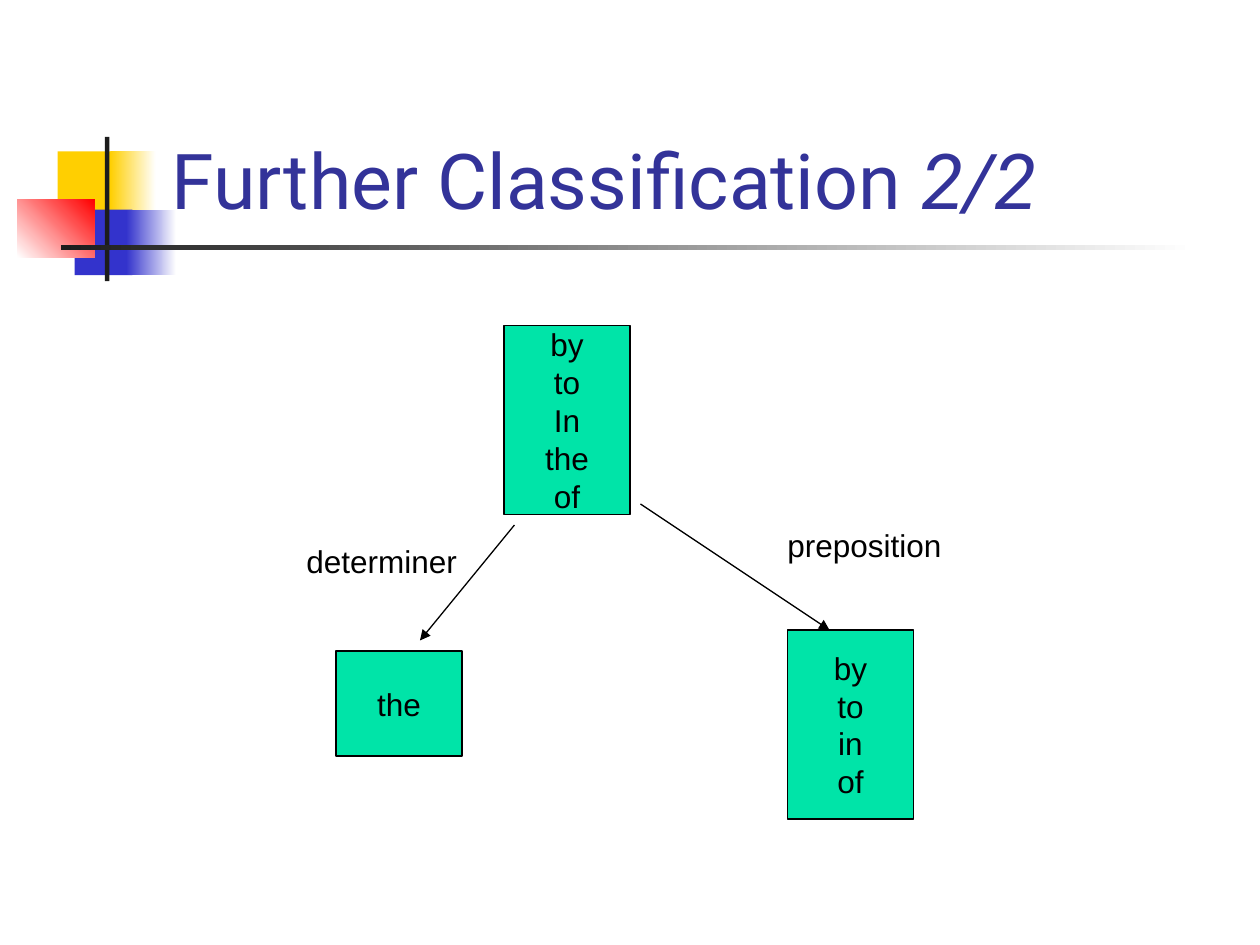
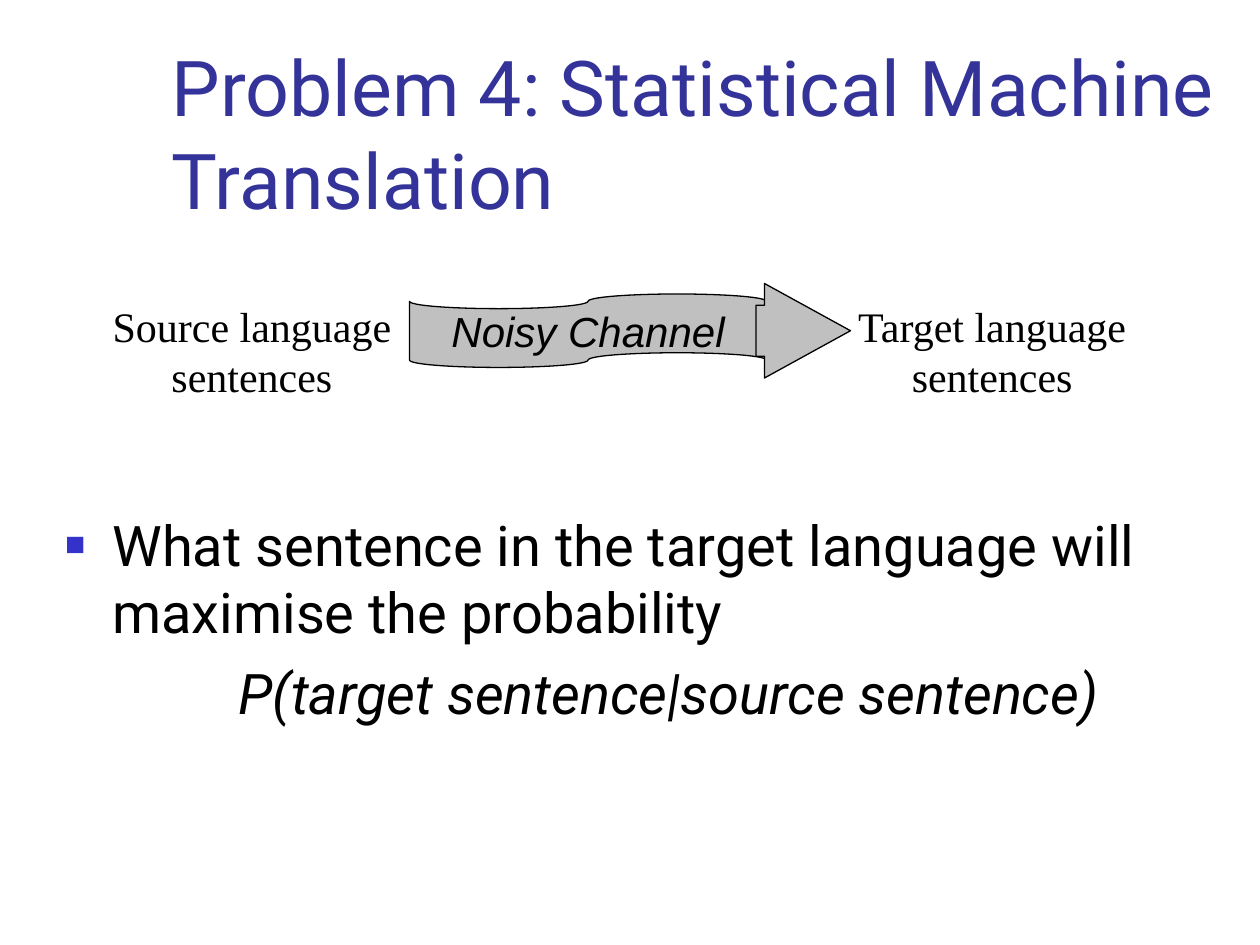
from lxml.etree import SubElement
from pptx import Presentation
from pptx.dml.color import RGBColor
from pptx.enum.shapes import MSO_CONNECTOR, MSO_SHAPE
from pptx.enum.text import MSO_ANCHOR, MSO_AUTO_SIZE, PP_ALIGN
from pptx.oxml.ns import qn
from pptx.util import Pt

YELLOW, BLUE, RED, DARK = "FFCF01", "3333CC", "FF0000", "1C1C1C"
WHITE, BLACK, GREEN, GREY, NAVY = "FFFFFF", "000000", "00E4A8", "C0C0C0", "333399"

TITLE_BOX = (91, 16.5, 613.5, 115.5)
TITLE_FONT = {"size": Pt(44), "name": "Roboto"}
BODY_FONT = {"size": Pt(32), "name": "Roboto"}
WORD_FONT = {"size": Pt(18), "name": "Arial"}
CHANNEL_FONT = {"size": Pt(24), "name": "Arial", "italic": True}
LANGUAGE_FONT = {"size": Pt(24), "name": "Times New Roman"}

# Boxes are left, top, width, height; two colours and an angle make a gradient.
ORNAMENT = [
    ((33, 86.5, 34.5, 37.5), [YELLOW]),
    ((63, 86.5, 26, 37.5), [YELLOW, WHITE, 0]),
    ((42.7, 119.8, 33, 37.4), [BLUE]),
    ((72.2, 119.8, 28.5, 37.4), [BLUE, WHITE, 0]),
    ((10, 113.8, 44, 33.4), [WHITE, RED, 45]),
    ((60, 78.2, 2.5, 82.5), [DARK]),
    ((34.8, 140.2, 648, 2.5), [DARK, WHITE, 0]),
]

CLASSIFICATION = {
    "title": [("Further Classification ", False), ("2/2", True)],
    "groups": [
        ((288, 186, 72, 108), ["by", "to", "In", "the", "of"]),
        ((192, 372, 72, 60), ["the"]),
        ((450, 360, 72, 108), ["by", "to", "in", "of"]),
    ],
    "branches": [((294, 300), (240, 366)), ((366, 288), (474, 360))],
    "labels": [
        ((168, 306, 104, 29), "determiner"),
        ((442.8, 297, 106, 29), "preposition"),
    ],
}

TRANSLATION = {
    "title": [("Problem 4: Statistical Machine Translation", False)],
    "body_box": (30, 288, 648, 230),
    "question": "What sentence in the target language will maximise the probability",
    "formula": "P(target sentence|source sentence)",
    "channel": ((234, 168, 204, 42), "Noisy Channel"),
    "arrow_box": (432, 162, 54, 54),
    "languages": [
        ((54, 168, 180, 65), "Source language sentences"),
        ((474, 168, 186, 65), "Target language sentences"),
    ],
}


def rgb(colour):
    return RGBColor.from_string(colour)


def points(values):
    return [Pt(value) for value in values]


def format_font(font, style, colour=BLACK):
    for attribute, value in style.items():
        setattr(font, attribute, value)
    font.color.rgb = rgb(colour)


def place(shape, box):
    shape.left, shape.top, shape.width, shape.height = points(box)


def paint(fill, colours):
    if len(colours) == 1:
        fill.solid()
        fill.fore_color.rgb = rgb(colours[0])
        return
    *ends, angle = colours
    fill.gradient()
    fill.gradient_angle = angle
    for stop, colour in zip(fill.gradient_stops, ends):
        stop.color.rgb = rgb(colour)


def write_lines(frame, lines, style, align, wrap=False, before=0):
    frame.word_wrap = wrap
    for number, line in enumerate(lines):
        paragraph = frame.add_paragraph() if number else frame.paragraphs[0]
        paragraph.alignment = align
        paragraph.space_before = Pt(before)
        run = paragraph.add_run()
        run.text = line
        format_font(run.font, style)


def add_filled(slide, kind, box, colours, outline=None):
    shape = slide.shapes.add_shape(kind, *points(box))
    shape.shadow.inherit = False
    paint(shape.fill, colours)
    if outline:
        shape.line.color.rgb = rgb(outline)
        shape.line.width = Pt(0.75)
    else:
        shape.line.fill.background()
    return shape


def add_labelled(slide, kind, box, colour, lines, style):
    frame = add_filled(slide, kind, box, [colour], BLACK).text_frame
    frame.vertical_anchor = MSO_ANCHOR.MIDDLE
    write_lines(frame, lines, style, PP_ALIGN.CENTER)


def add_label(slide, box, text, style, **layout):
    frame = slide.shapes.add_textbox(*points(box)).text_frame
    write_lines(frame, [text], style, **layout)


def add_branch(slide, start, end):
    branch = slide.shapes.add_connector(
        MSO_CONNECTOR.STRAIGHT, *points(start + end))
    branch.line.color.rgb = rgb(BLACK)
    branch.line.width = Pt(0.75)
    SubElement(branch.line._get_or_add_ln(), qn("a:tailEnd"), type="triangle")
    SubElement(branch._element.spPr, qn("a:effectLst"))


def write_title(slide, parts):
    title = slide.shapes.title
    place(title, TITLE_BOX)
    frame = title.text_frame
    frame.auto_size = MSO_AUTO_SIZE.NONE
    frame.vertical_anchor = MSO_ANCHOR.BOTTOM
    paragraph = frame.paragraphs[0]
    paragraph.alignment = PP_ALIGN.LEFT
    for text, italic in parts:
        run = paragraph.add_run()
        run.text = text
        format_font(run.font, {**TITLE_FONT, "italic": italic}, NAVY)


def indent(paragraph, margin, first):
    """Set the left margin and first-line indent; return the properties."""
    properties = paragraph._p.get_or_add_pPr()
    properties.set("marL", str(Pt(margin)))
    properties.set("indent", str(Pt(first)))
    return properties


def write_body(body, content):
    place(body, content["body_box"])
    frame = body.text_frame
    frame.auto_size = MSO_AUTO_SIZE.NONE
    write_lines(frame, [content["question"], content["formula"]], BODY_FONT,
                PP_ALIGN.LEFT, wrap=True, before=8)
    question, formula = frame.paragraphs
    bullet = indent(question, 27, -27)
    SubElement(SubElement(bullet, qn("a:buClr")), qn("a:srgbClr"), val=BLUE)
    SubElement(bullet, qn("a:buSzPct"), val="60000")
    SubElement(bullet, qn("a:buFont"), typeface="Arial")
    SubElement(bullet, qn("a:buChar"), char="■")
    SubElement(indent(formula, 99, 0), qn("a:buNone"))
    formula.runs[0].font.italic = True


def build_classification(slide, content):
    for box, colours in ORNAMENT:
        add_filled(slide, MSO_SHAPE.RECTANGLE, box, colours)
    # The title stands in front of the ornament.
    slide.shapes._spTree.append(slide.shapes.title._element)
    write_title(slide, content["title"])
    for box, words in content["groups"]:
        add_labelled(slide, MSO_SHAPE.RECTANGLE, box, GREEN, words, WORD_FONT)
    for start, end in content["branches"]:
        add_branch(slide, start, end)
    for box, text in content["labels"]:
        add_label(slide, box, text, WORD_FONT, align=PP_ALIGN.LEFT)


def build_translation(slide, content):
    write_title(slide, content["title"])
    write_body(slide.placeholders[1], content)
    box, text = content["channel"]
    add_labelled(slide, MSO_SHAPE.FLOWCHART_PUNCHED_TAPE, box, GREY, [text],
                 CHANNEL_FONT)
    arrow = add_filled(slide, MSO_SHAPE.RIGHT_ARROW, content["arrow_box"],
                       [GREY], BLACK)
    arrow.adjustments[0], arrow.adjustments[1] = 0.54, 0.91
    for box, text in content["languages"]:
        add_label(slide, box, text, LANGUAGE_FONT, align=PP_ALIGN.CENTER,
                  wrap=True, before=15)


def main():
    deck = Presentation()
    deck.slide_width, deck.slide_height = Pt(720), Pt(540)
    title_only, title_and_body = deck.slide_layouts[5], deck.slide_layouts[1]
    build_classification(deck.slides.add_slide(title_only), CLASSIFICATION)
    build_translation(deck.slides.add_slide(title_and_body), TRANSLATION)
    deck.save("out.pptx")


if __name__ == "__main__":
    main()
